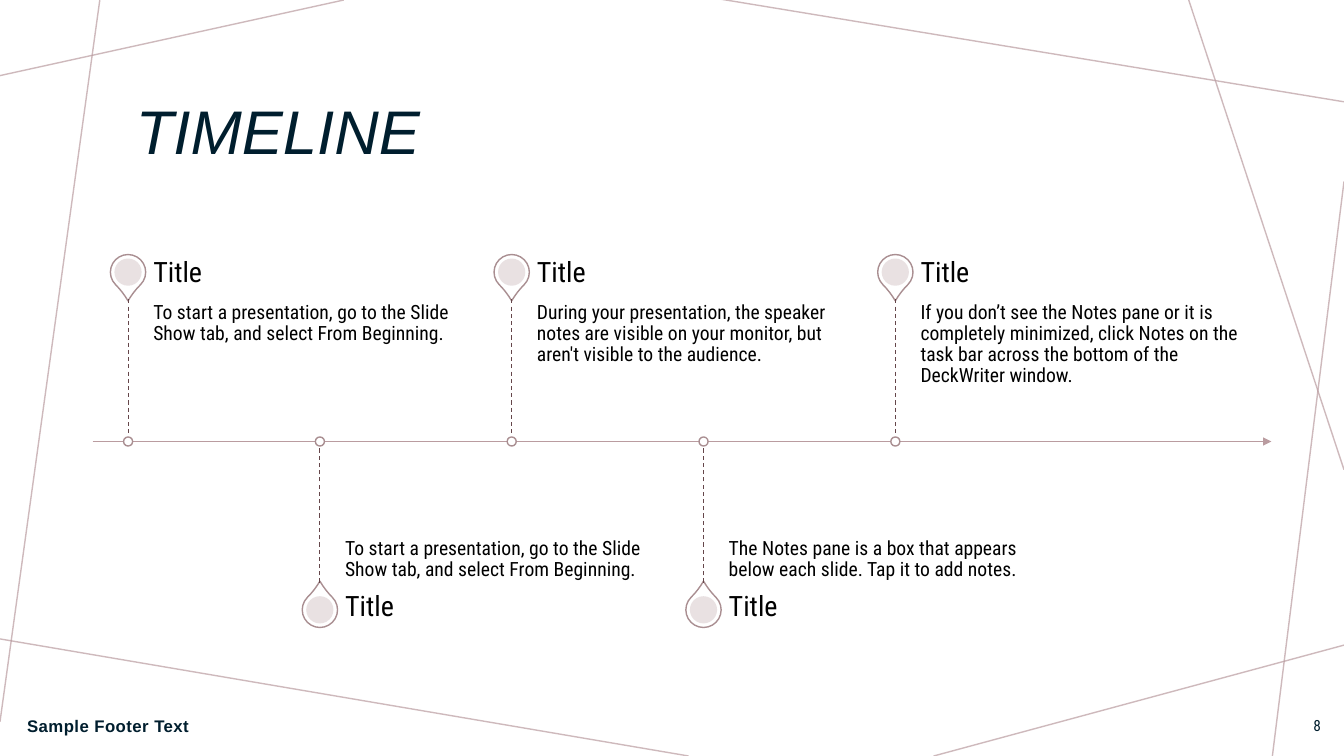
from pptx import Presentation
from pptx.dml.color import RGBColor
from pptx.enum.dml import MSO_LINE
from pptx.enum.shapes import MSO_CONNECTOR, MSO_SHAPE
from pptx.enum.text import MSO_ANCHOR, PP_ALIGN
from pptx.oxml.ns import qn
from pptx.util import Inches, Pt
from lxml import etree

STRAIGHT = MSO_CONNECTOR.STRAIGHT
TEARDROP, ELLIPSE = MSO_SHAPE.TEAR, MSO_SHAPE.OVAL
TOP, MIDDLE, BOTTOM = MSO_ANCHOR.TOP, MSO_ANCHOR.MIDDLE, MSO_ANCHOR.BOTTOM
LEFT, RIGHT = PP_ALIGN.LEFT, PP_ALIGN.RIGHT
DASH = MSO_LINE.DASH

COLORS = {
    "white": "FFFFFF",
    "text": "000000",
    "navy": "001E2E",
    "rose": "BA9CA0",
    "outline": "A98E91",
    "stem": "65464A",
    "dot": "E7DEDF",
}
HEADING_FONT, BODY_FONT = "Arial", "Roboto Condensed"

TITLE, FOOTER, SLIDE_NUMBER = "TIMELINE", "Sample Footer Text", "8"
MILESTONES = [
    ("Title", "To start a presentation, go to the Slide Show tab, "
              "and select From Beginning."),
    ("Title", "To start a presentation, go to the Slide Show tab, "
              "and select From Beginning."),
    ("Title", "During your presentation, the speaker notes are visible on "
              "your monitor, but aren't visible to the audience.\u00a0"),
    ("Title", "The Notes pane is a box that appears below each slide. "
              "Tap it to add notes.\u00a0"),
    ("Title", "If you don\u2019t see the Notes pane or it is completely "
              "minimized, click Notes on the task bar across the bottom of "
              "the DeckWriter window."),
]
BACKGROUND_LINES = [
    ((3.41, 0), (0, 0.75)),
    ((0.99, 0), (0, 7.16)),
    ((6.83, 7.5), (-0.05, 6.33)),
    ((13.33, 6.4), (9.26, 7.5)),
    ((13.33, 1.8), (12.62, 7.5)),
    ((13.33, 4.66), (11.79, 0)),
    ((13.33, 1.01), (7.14, -0.01)),
]

AXIS_Y, AXIS_START, AXIS_END = 4.38, 0.92, 12.61
FIRST_X, LAST_X = 1.27, 8.88
STEP = (LAST_X - FIRST_X) / (len(MILESTONES) - 1)
PIN_SIZE, DOT_SIZE, MARKER_SIZE = 0.35, 0.27, 0.09
TEXT_GAP, TEXT_WIDTH, BODY_HEIGHT, HEADING_HEIGHT = 0.25, 3.21, 1.41, 0.49
ABOVE = {"pin_y": 2.7, "rotation": 135, "stem_y": 2.97, "heading_y": 2.47,
         "body_y": AXIS_Y - BODY_HEIGHT, "anchor": TOP}
BELOW = {"pin_y": 6.05, "rotation": 315, "stem_y": 5.78, "heading_y": 5.78,
         "body_y": AXIS_Y, "anchor": BOTTOM}


def rgb(name):
    """Return the named colour."""
    return RGBColor.from_string(COLORS[name])


def set_alpha(element, percent):
    """Set the opacity of the first solid colour inside an element."""
    color = next(element.iter(qn("a:srgbClr")))
    etree.SubElement(color, qn("a:alpha")).set("val", str(percent * 1000))


def add_line(start, end, color, width=1):
    """Draw a straight line between two points."""
    points = [Inches(value) for value in (*start, *end)]
    line = slide.shapes.add_connector(STRAIGHT, *points)
    line.line.color.rgb = rgb(color)
    line.line.width = Pt(width)
    etree.SubElement(line._element.spPr, qn("a:effectLst"))
    return line


def add_centered(kind, x, y, size, fill, outline=None):
    """Draw a square preset shape around a centre point."""
    shape = slide.shapes.add_shape(kind, Inches(x - size / 2),
                                   Inches(y - size / 2),
                                   Inches(size), Inches(size))
    shape.shadow.inherit = False
    shape.fill.solid()
    shape.fill.fore_color.rgb = rgb(fill)
    if outline:
        shape.line.color.rgb = rgb(outline)
        shape.line.width = Pt(1)
    else:
        shape.line.fill.background()
    return shape


def add_text(text, box, size, font=BODY_FONT, color="text", anchor=MIDDLE,
             align=LEFT, spacing=None, insets=(0.1, 0.05)):
    """Add a one-paragraph text box and return its run."""
    frame = slide.shapes.add_textbox(*map(Inches, box)).text_frame
    frame.word_wrap = True
    frame.vertical_anchor = anchor
    frame.margin_left = frame.margin_right = Inches(insets[0])
    frame.margin_top = frame.margin_bottom = Inches(insets[1])
    paragraph = frame.paragraphs[0]
    paragraph.alignment = align
    paragraph.line_spacing = spacing
    run = paragraph.add_run()
    run.text = text
    run.font.size = Pt(size)
    run.font.name = font
    run.font.color.rgb = rgb(color)
    return run


def add_milestone(x, heading, body, side):
    """Draw a pin, its texts, its stem and its marker on the axis."""
    pin = add_centered(TEARDROP, x, side["pin_y"], PIN_SIZE, "white", "outline")
    pin.adjustments[0] = 1.15
    pin.rotation = side["rotation"]
    dot = add_centered(ELLIPSE, x, side["pin_y"], DOT_SIZE, "dot")
    set_alpha(dot._element.spPr, 90)
    text_x = x + TEXT_GAP
    add_text(body, (text_x, side["body_y"], TEXT_WIDTH, BODY_HEIGHT), 14,
             anchor=side["anchor"], spacing=0.9, insets=(0, 0.03))
    add_text(heading, (text_x, side["heading_y"], TEXT_WIDTH, HEADING_HEIGHT),
             20, spacing=0.9, insets=(0, 0))
    stem = add_line((x, side["stem_y"]), (x, AXIS_Y), "stem", 0.75)
    stem.line.dash_style = DASH
    add_centered(ELLIPSE, x, AXIS_Y, MARKER_SIZE, "white", "outline")


presentation = Presentation()
presentation.slide_width = Inches(13.33)
presentation.slide_height = Inches(7.5)
slide = presentation.slides.add_slide(presentation.slide_layouts[6])
slide.background.fill.solid()
slide.background.fill.fore_color.rgb = rgb("white")

for start, end in BACKGROUND_LINES:
    set_alpha(add_line(start, end, "rose")._element.spPr, 70)

axis = add_line((AXIS_START, AXIS_Y), (AXIS_END, AXIS_Y), "rose")
axis_outline = axis._element.spPr.find(qn("a:ln"))
etree.SubElement(axis_outline, qn("a:tailEnd")).set("type", "triangle")

for index, (heading, body) in enumerate(MILESTONES):
    add_milestone(FIRST_X + index * STEP, heading, body,
                  BELOW if index % 2 else ABOVE)

title = add_text(TITLE, (1.25, 0.58, 10.83, 1.51), 44, HEADING_FONT, "navy",
                 spacing=0.9)
title.font.italic = True
footer = add_text(FOOTER, (0.17, 7, 4.92, 0.4), 12, HEADING_FONT, "navy")
footer.font.bold = True
footer._r.get_or_add_rPr().set("spc", "30")
add_text(SLIDE_NUMBER, (12.69, 7, 0.51, 0.4), 11, color="navy", align=RIGHT)

presentation.save("out.pptx")
